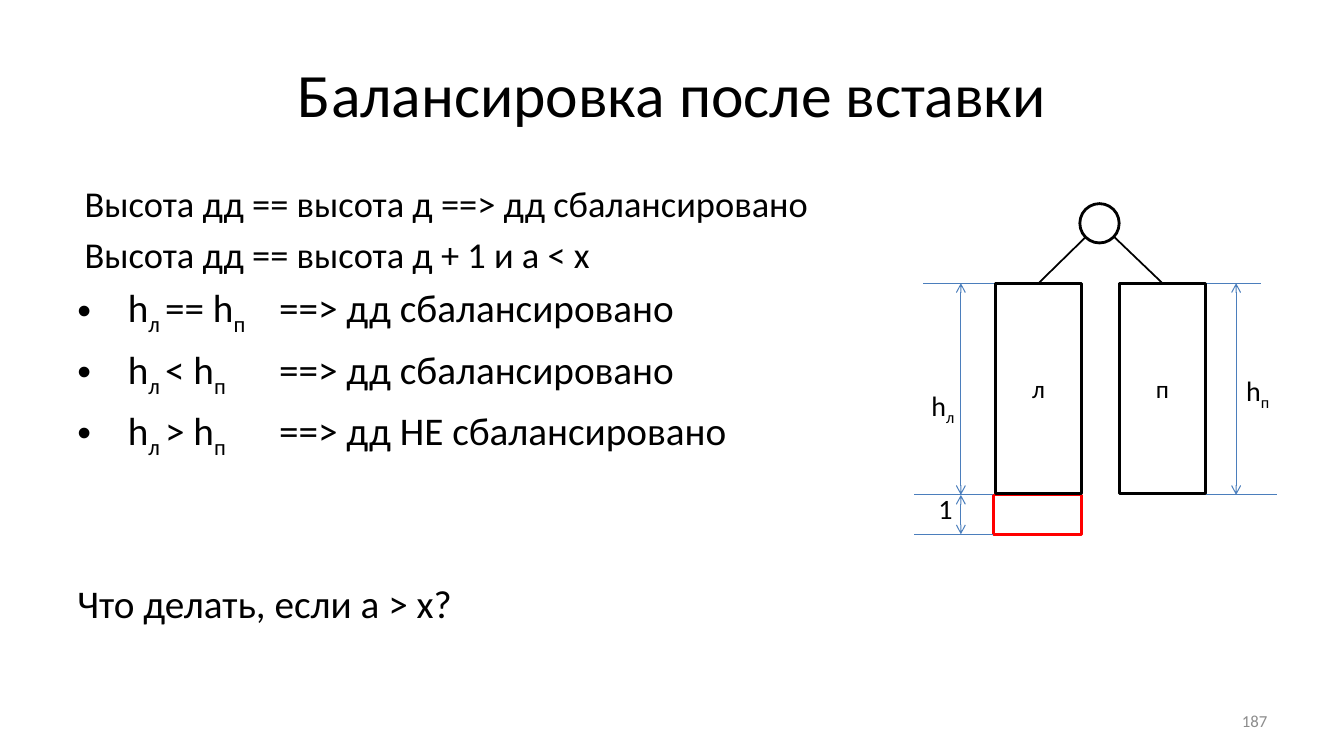
from dataclasses import dataclass, field
from typing import Any, NamedTuple, Optional

from pptx import Presentation
from pptx.dml.color import RGBColor as Rgb
from pptx.enum.shapes import MSO_CONNECTOR as Link, MSO_SHAPE as Form
from pptx.enum.text import MSO_ANCHOR as Anchor, MSO_AUTO_SIZE as Fit, PP_ALIGN as Align
from pptx.oxml.ns import qn
from pptx.util import Inches, Pt
from lxml.etree import SubElement as Sub


@dataclass(frozen=True)
class Theme:
    font: str = "Calibri"
    black: Rgb = Rgb(0, 0, 0)
    red: Rgb = Rgb(255, 0, 0)
    blue: Rgb = Rgb.from_string("4B7EBC")
    gray: Rgb = Rgb.from_string("8C8C8C")
    title: int = 44
    lead: int = 26
    body: int = 28
    label: int = 20
    node: int = 18
    page: int = 12
    thick: float = 2
    edge: float = 1.25
    thin: float = 0.75


THEME = Theme()


class Box(NamedTuple):
    left: float
    top: float
    width: float
    height: float


class Para(NamedTuple):
    text: str
    size: int
    color: Rgb = THEME.black
    align: Optional[Align] = None
    before: float = 0
    indent: float = 0
    hang: float = 0


@dataclass(frozen=True)
class Text:
    box: Box
    paras: list[Para]
    form: dict[str, Any] = field(default_factory=dict)


@dataclass(frozen=True)
class Node:
    kind: Form
    box: Box
    color: Rgb = THEME.black
    text: str = ""


@dataclass(frozen=True)
class Line:
    start: tuple[float, float]
    end: tuple[float, float]
    color: Rgb = THEME.blue
    width: float = THEME.thin
    arrows: bool = False
    root: Any = None
    goal: Any = None


def apply(target: Any, form: dict[str, Any]) -> None:
    for name, value in form.items():
        setattr(target, name, value)


def write(frame: Any, paras: list[Para]) -> None:
    for index, item in enumerate(paras):
        para = frame.paragraphs[0] if index == 0 else frame.add_paragraph()
        apply(para, {"alignment": item.align, "space_before": Pt(item.before)})
        props = para._p.get_or_add_pPr()
        props.set("marL", str(Inches(item.indent)))
        props.set("indent", str(Inches(-item.hang)))
        if item.hang:
            Sub(props, qn("a:buFont"), typeface="Arial")
            Sub(props, qn("a:buChar"), char="•")
            tabs = Sub(props, qn("a:tabLst"))
            Sub(tabs, qn("a:tab"), pos=str(Inches(2)), algn="l")
        for part, chunk in enumerate(item.text.split("_")):
            if not chunk:
                continue
            run = para.add_run()
            run.text = chunk
            apply(run.font, {"name": THEME.font, "size": Pt(item.size)})
            run.font.color.rgb = item.color
            if part % 2:
                run.font._element.set("baseline", "-25000")


def add_text(slide: Any, item: Text) -> None:
    frame = slide.shapes.add_textbox(*map(Inches, item.box)).text_frame
    apply(frame, {"word_wrap": True, "auto_size": Fit.NONE, **item.form})
    write(frame, item.paras)


def add_node(slide: Any, item: Node) -> Any:
    shape = slide.shapes.add_shape(item.kind, *map(Inches, item.box))
    shape.shadow.inherit = False
    shape.fill.background()
    shape.line.color.rgb = item.color
    shape.line.width = Pt(THEME.thick)
    if item.text:
        shape.text_frame.vertical_anchor = Anchor.MIDDLE
        write(shape.text_frame, [Para(item.text, THEME.node, align=Align.CENTER)])
    return shape


def add_line(slide: Any, item: Line) -> None:
    line = slide.shapes.add_connector(Link.STRAIGHT, *map(Inches, item.start + item.end))
    line.line.color.rgb = item.color
    line.line.width = Pt(item.width)
    if item.root is not None:
        line.begin_connect(item.root, 0)
    if item.goal is not None:
        line.end_connect(item.goal, 0)
    if item.arrows:
        for tag in ("a:headEnd", "a:tailEnd"):
            Sub(line.line._get_or_add_ln(), qn(tag), type="arrow")
    Sub(line._element.spPr, qn("a:effectLst"))


def add_tree(slide: Any) -> None:
    top, base, low = 2.81, 4.91, 5.3
    add_node(slide, Node(Form.OVAL, Box(10.71, 2.02, 0.39, 0.39)))
    add_node(slide, Node(Form.RECTANGLE, Box(9.85, base, 0.88, low - base), THEME.red))
    left, right = (
        add_node(slide, Node(Form.RECTANGLE, Box(x, top, 0.86, 2.09), text=name))
        for x, name in ((9.87, "л"), (11.1, "п"))
    )
    lines = [
        Line((10.77, 2.35), (10.3, top), THEME.black, THEME.edge, goal=left),
        Line((11.05, 2.35), (11.53, top), THEME.black, THEME.edge, goal=right),
        Line((10.3, top), (9.15, top), root=left),
        Line((11.53, top), (12.51, top), root=right),
        Line((9.85, base), (9.07, base)),
        Line((9.85, low), (9.07, low)),
        Line((11.96, base), (12.67, base)),
        Line((9.53, top), (9.53, base), arrows=True),
        Line((9.53, base), (9.53, low), arrows=True),
        Line((12.26, top), (12.26, base), arrows=True),
    ]
    for line in lines:
        add_line(slide, line)
    for rect in (left, right):
        slide.shapes._spTree.append(rect._element)
    form = {"word_wrap": False, "auto_size": Fit.SHAPE_TO_FIT_TEXT}
    for text, x, y, width in (
        ("h_л_", 9.14, 3.81, 0.44),
        ("1", 9.21, 4.83, 0.34),
        ("h_п_", 12.26, 3.66, 0.45),
    ):
        add_text(slide, Text(Box(x, y, width, 0.44), [Para(text, THEME.label)], form))


def main() -> None:
    deck = Presentation()
    apply(deck, {"slide_width": Inches(13.33), "slide_height": Inches(7.5)})
    slide = deck.slides.add_slide(deck.slide_layouts[6])
    middle = {"vertical_anchor": Anchor.MIDDLE}
    cases = (
        "h_л _== h_п_\t==> дд сбалансировано",
        "h_л _< h_п_\t==> дд сбалансировано",
        "h_л _> h_п_\t==> дд НЕ сбалансировано",
    )
    body = [
        Para("Высота дд == высота д ==> дд сбалансировано", THEME.lead, indent=0.07),
        Para("Высота дд == высота д + 1 и а < х", THEME.lead, before=5.2, indent=0.07),
        *(Para(case, THEME.body, before=5.6, indent=0.5, hang=0.5) for case in cases),
        Para("Что делать, если а > х?", THEME.body, before=85),
    ]
    title = Para("Балансировка после вставки", THEME.title, align=Align.CENTER)
    page = Para("187", THEME.page, THEME.gray, Align.RIGHT)
    for text in (
        Text(Box(0.67, 0.3, 12, 1.25), [title], middle),
        Text(Box(0.67, 1.75, 12, 4.95), body),
        Text(Box(9.56, 6.95, 3.11, 0.4), [page], middle),
    ):
        add_text(slide, text)
    add_tree(slide)
    deck.save("out.pptx")


if __name__ == "__main__":
    main()
